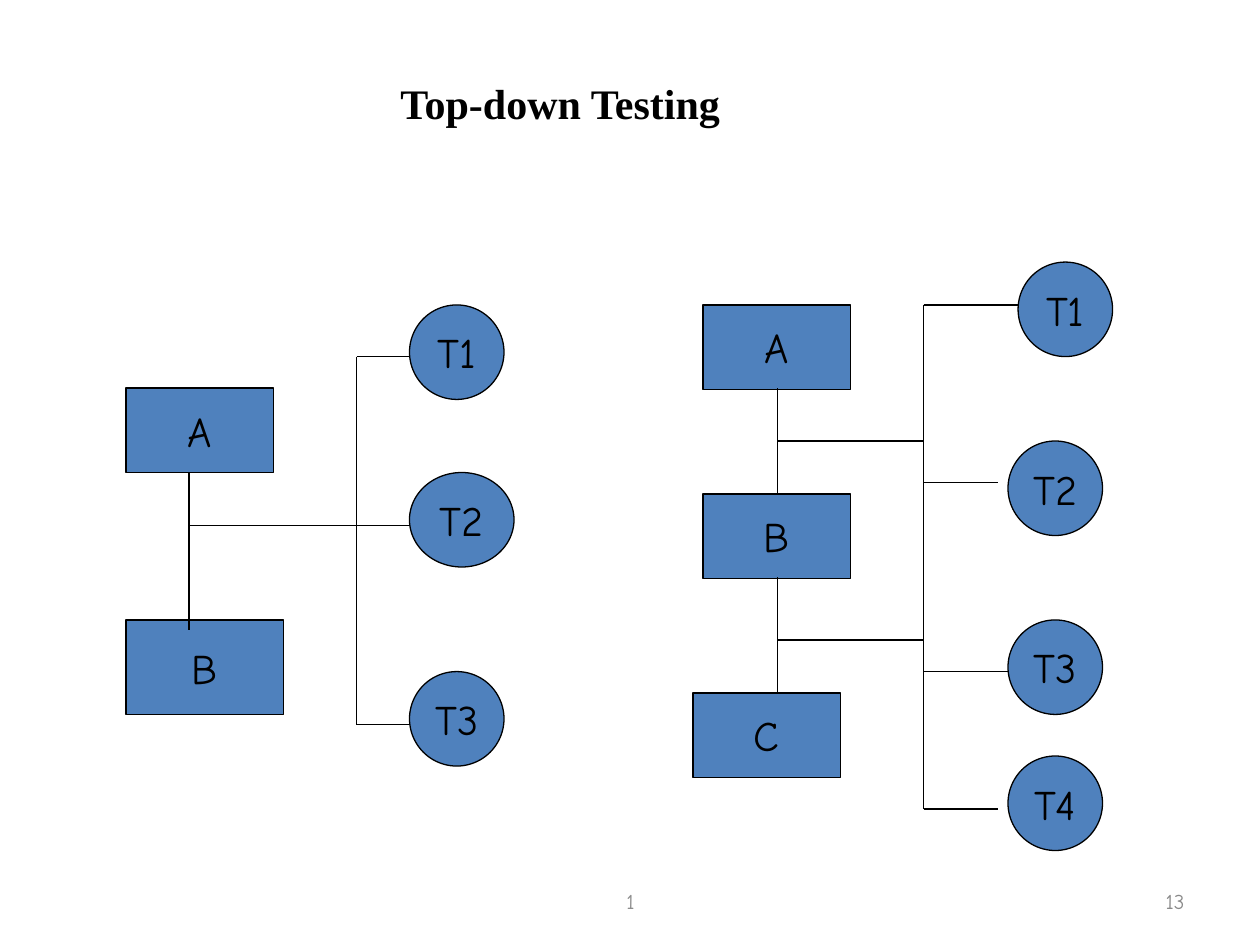
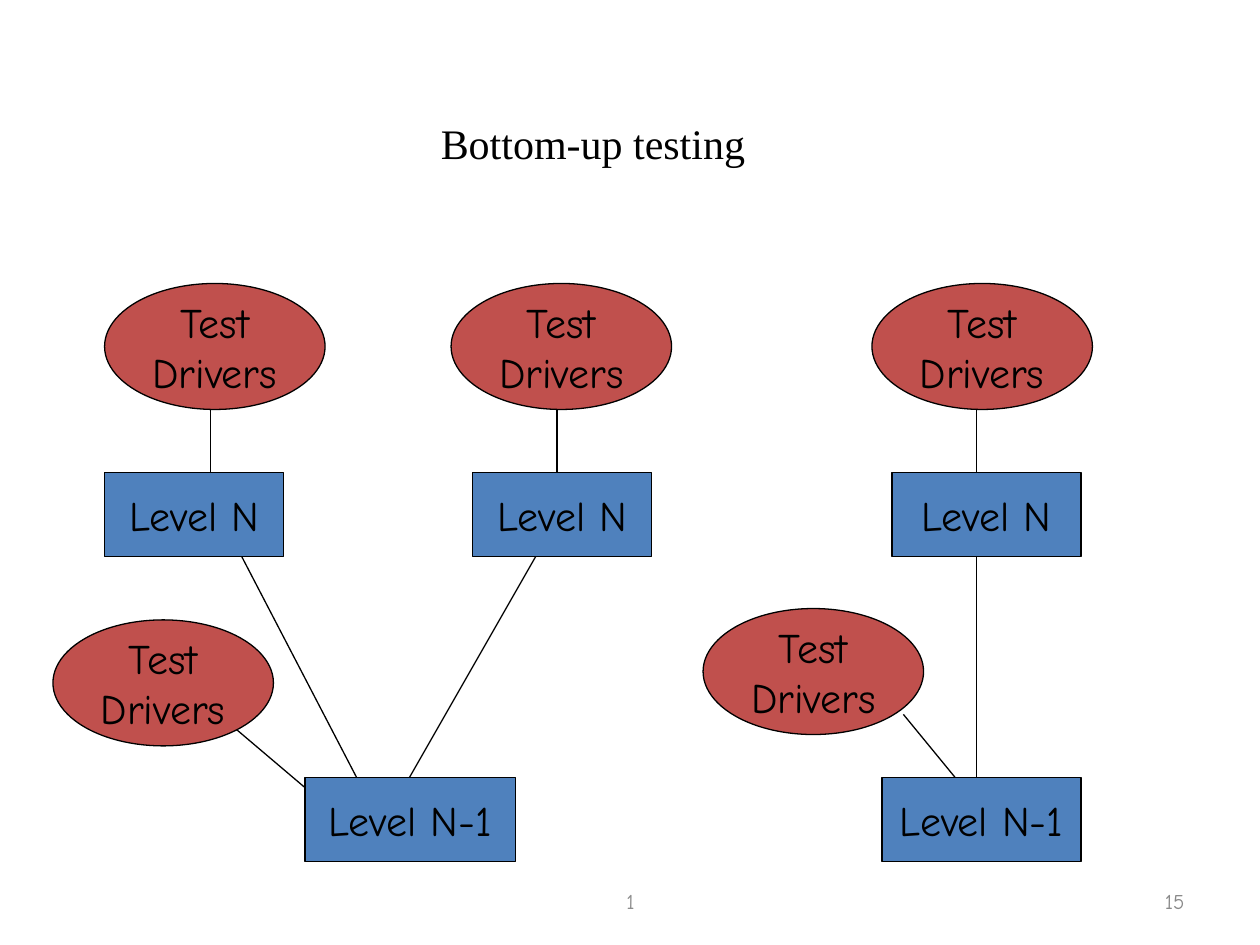
import pptx
import pptx.util
import pptx.dml.color
import pptx.enum.shapes
import pptx.enum.text
import lxml.etree
import pptx.oxml.ns

Inches = pptx.util.Inches
RGBColor = pptx.dml.color.RGBColor
Shape = pptx.enum.shapes.MSO_SHAPE
Align = pptx.enum.text.PP_ALIGN
Anchor = pptx.enum.text.MSO_ANCHOR

BLACK = RGBColor(0x00, 0x00, 0x00)
BLUE = RGBColor(0x4F, 0x81, 0xBD)
RED = RGBColor(0xC0, 0x50, 0x4D)
FOOTER_GREY = RGBColor(0x8C, 0x8C, 0x8C)
NUMBER_GREY = RGBColor(0x89, 0x89, 0x89)
LABEL_FONT = "Comic Neue"
TITLE_FONT = "Times New Roman"


class DiagramDeck:
    def __init__(self):
        self.deck = pptx.Presentation()
        self.deck.slide_width = Inches(10)
        self.deck.slide_height = Inches(7.5)
        self.page = None

    def add_page(self, number):
        self.page = self.deck.slides.add_slide(self.deck.slide_layouts[6])
        self.text("1", 3.42, 6.95, 3.17, 0.4, 12, color=FOOTER_GREY,
                  align=Align.CENTER, anchor=Anchor.MIDDLE)
        self.text(number, 7.17, 6.95, 2.33, 0.4, 12, color=NUMBER_GREY,
                  align=Align.RIGHT, anchor=Anchor.MIDDLE)

    def fill_text(self, frame, words, size, font, color, align, bold=False):
        for index, line in enumerate(words.split("\n")):
            para = frame.paragraphs[0] if index == 0 else frame.add_paragraph()
            para.alignment = align
            span = para.add_run()
            span.text = line
            span.font.size = pptx.util.Pt(size)
            span.font.name = font
            span.font.bold = bold
            span.font.color.rgb = color

    def text(self, words, left, top, width, height, size, font=LABEL_FONT,
             color=BLACK, align=Align.LEFT, anchor=Anchor.TOP, bold=False):
        box = self.page.shapes.add_textbox(
            Inches(left), Inches(top), Inches(width), Inches(height))
        box.text_frame.word_wrap = True
        box.text_frame.vertical_anchor = anchor
        self.fill_text(box.text_frame, words, size, font, color, align, bold)

    def title(self, words, left, top, width, bold=False):
        self.text(words, left, top, width, 0.5, 24, font=TITLE_FONT, bold=bold)

    def node(self, kind, words, left, top, width, height, fill):
        box = self.page.shapes.add_shape(
            kind, Inches(left), Inches(top), Inches(width), Inches(height))
        box.shadow.inherit = False
        box.fill.solid()
        box.fill.fore_color.rgb = fill
        box.line.color.rgb = BLACK
        box.line.width = pptx.util.Pt(0.75)
        box.text_frame.word_wrap = False
        box.text_frame.vertical_anchor = Anchor.MIDDLE
        self.fill_text(box.text_frame, words, 24, LABEL_FONT, BLACK, Align.CENTER)

    def module(self, words, left, top, width=1.17, height=0.67):
        self.node(Shape.RECTANGLE, words, left, top, width, height, BLUE)

    def test(self, words, left, top, width=0.75):
        self.node(Shape.OVAL, words, left, top, width, 0.75, BLUE)

    def driver(self, left, top):
        self.node(Shape.OVAL, "Test\nDrivers", left, top, 1.75, 1, RED)

    def link(self, x1, y1, x2, y2):
        line = self.page.shapes.add_connector(
            pptx.enum.shapes.MSO_CONNECTOR.STRAIGHT,
            Inches(x1), Inches(y1), Inches(x2), Inches(y2))
        line.line.color.rgb = BLACK
        line.line.width = pptx.util.Pt(0.75)
        lxml.etree.SubElement(line._element.spPr, pptx.oxml.ns.qn("a:effectLst"))

    def trunk(self, x, top, bottom, branches):
        self.link(x, top, x, bottom)
        for y, end in branches:
            self.link(x, y, end, y)


def top_down(deck):
    deck.add_page("13")
    deck.title("Top-down Testing", 3.08, 0.57, 4.08, bold=True)

    deck.module("A", 1, 3.08)
    deck.module("B", 1, 4.92, 1.25, 0.75)
    for words, top, width in (("T1", 2.42, 0.75), ("T2", 3.75, 0.83), ("T3", 5.33, 0.75)):
        deck.test(words, 3.25, top, width)
    deck.trunk(1.5, 3.75, 5, [(4.17, 3.25)])
    deck.trunk(2.83, 2.83, 5.75, [(2.83, 3.25), (5.75, 3.25)])

    for words, left, top in (("A", 5.58, 2.42), ("B", 5.58, 3.92), ("C", 5.5, 5.5)):
        deck.module(words, left, top)
    for words, left, top in (("T1", 8.08, 2.08), ("T2", 8, 3.5),
                             ("T3", 8, 4.92), ("T4", 8, 6)):
        deck.test(words, left, top)
    deck.trunk(6.17, 3.08, 3.92, [(3.5, 7.33)])
    deck.trunk(6.17, 4.58, 5.5, [(5.08, 7.33)])
    deck.trunk(7.33, 2.42, 6.42,
               [(2.42, 8.08), (3.83, 7.92), (5.33, 8), (6.42, 7.92)])


def bottom_up(deck):
    deck.add_page("15")
    deck.title("Bottom-up testing", 3.4, 0.88, 3.03)

    for left, width in ((0.83, 1.42), (3.75, 1.42), (7.08, 1.5)):
        deck.module("Level N", left, 3.75, width)
    for left, width in ((2.42, 1.67), (7, 1.58)):
        deck.module("Level N-1", left, 6.17, width)

    for x in (1.67, 4.42, 7.75):
        deck.link(x, 3.25, x, 3.75)
    for upper, lower in ((1.92, 2.83), (4.25, 3.25), (7.75, 7.75)):
        deck.link(upper, 4.42, lower, 6.17)
    deck.link(1.83, 5.75, 2.42, 6.25)
    deck.link(7.17, 5.67, 7.58, 6.17)

    for left, top in ((0.83, 2.25), (3.58, 2.25), (6.92, 2.25), (0.42, 4.92), (5.58, 4.83)):
        deck.driver(left, top)


def main():
    diagrams = DiagramDeck()
    top_down(diagrams)
    bottom_up(diagrams)
    diagrams.deck.save("out.pptx")


if __name__ == "__main__":
    main()
